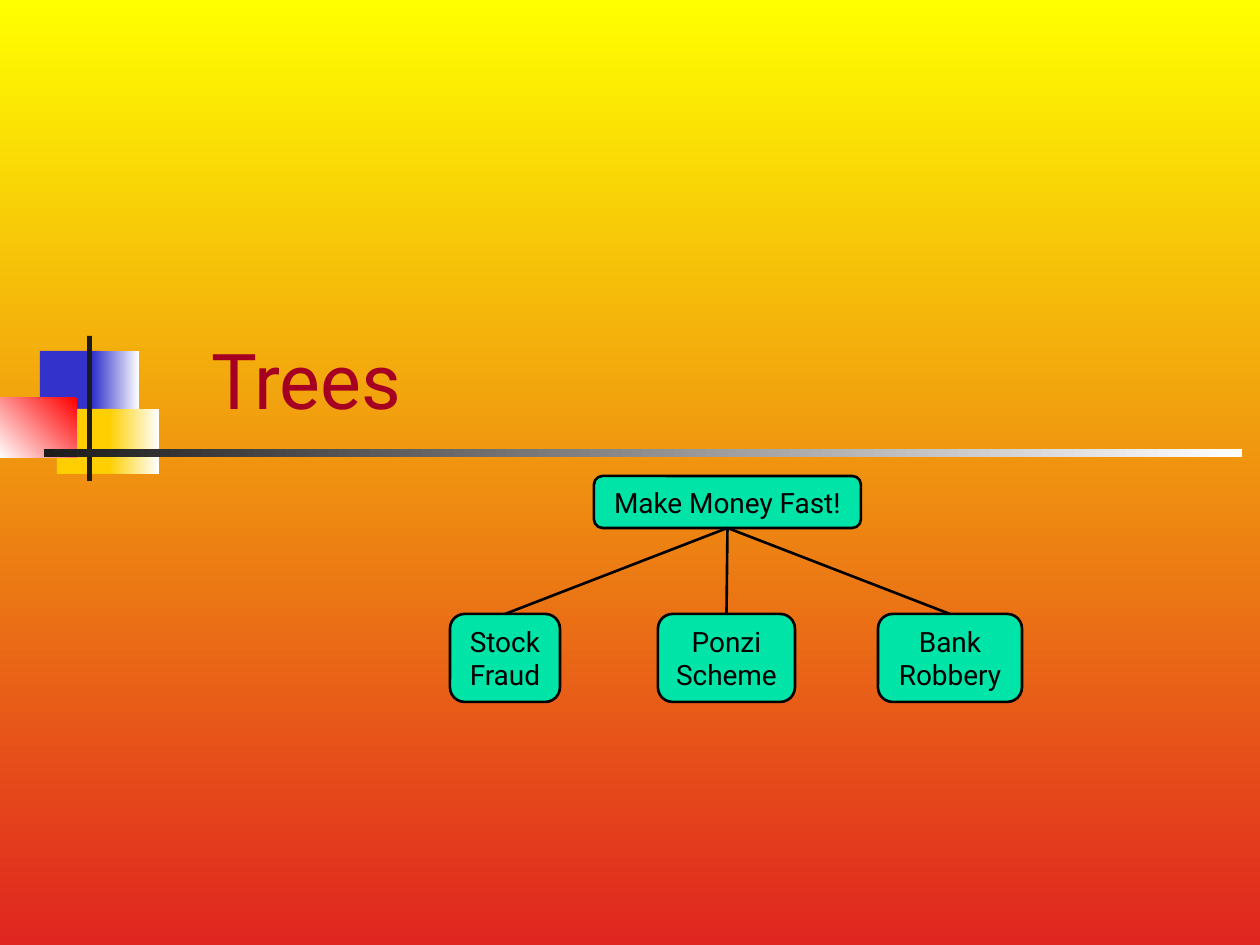
from pptx import Presentation
from pptx.dml.color import RGBColor
from pptx.enum.shapes import MSO_CONNECTOR as Line, MSO_SHAPE as Shape
from pptx.enum.text import MSO_ANCHOR as Anchor, MSO_AUTO_SIZE as Auto, PP_ALIGN as Align
from pptx.oxml.ns import qn
from pptx.util import Pt
from lxml.etree import SubElement

SCALE = 914400 / 126  # EMU in one px
FONT = "Roboto"
WHITE, BLACK, DARK = "FFFFFF", "000000", "1C1C1C"
BLUE, GOLD, RED, MINT = "3333CC", "FFCF01", "FF0000", "00E4A8"


def px(*nums):
    return [round(n * SCALE) for n in nums]


def color(code):
    return RGBColor.from_string(code)


def paint(fill, *codes, turn=0):
    """One colour fills solid, two blend; turn is in clockwise degrees."""
    if len(codes) == 1:
        fill.solid()
        fill.fore_color.rgb = color(codes[0])
        return
    fill.gradient()
    fill.gradient_angle = -turn % 360
    for stop, code in zip(fill.gradient_stops, codes):
        stop.color.rgb = color(code)


def add_box(slide, kind, box, *codes, turn=0):
    shape = slide.shapes.add_shape(kind, *px(*box))
    shape.shadow.inherit = False
    shape.line.fill.background()
    paint(shape.fill, *codes, turn=turn)
    return shape


def write(frame, lines, size, code, align):
    para = frame.paragraphs[0]
    para.alignment = align
    for i, text in enumerate(lines):
        if i:
            para.add_line_break()
        run = para.add_run()
        run.text = text
        run.font.name, run.font.size = FONT, Pt(size)
        run.font.color.rgb = color(code)


def add_decor(slide, left, top):
    """Coloured squares with a cross of two bars."""
    parts = [
        ((40, 15, 60, 66), (BLUE,), 0),
        ((93, 15, 46, 66), (BLUE, WHITE), 0),
        ((57, 73, 59, 65), (GOLD,), 0),
        ((109, 73, 50, 65), (GOLD, WHITE), 0),
        ((0, 62, 77, 60), (RED, WHITE), 135),
        ((87, 0, 5, 145), (DARK,), 0),
        ((44, 113, 1198, 8), (DARK, WHITE), 0),
    ]
    for (x, y, w, h), codes, turn in parts:
        add_box(slide, Shape.RECTANGLE, (left + x, top + y, w, h), *codes, turn=turn)


def add_title(slide, box, text):
    frame = slide.shapes.add_textbox(*px(*box)).text_frame
    frame.word_wrap = True
    frame.vertical_anchor = Anchor.BOTTOM
    write(frame, [text], 44, "A50021", Align.LEFT)


def add_node(slide, box, *lines):
    node = add_box(slide, Shape.ROUNDED_RECTANGLE, box, MINT)
    paint(node.line.fill, BLACK)
    node.line.width = Pt(1.5)
    frame = node.text_frame
    frame.word_wrap = False
    frame.auto_size = Auto.SHAPE_TO_FIT_TEXT
    frame.vertical_anchor = Anchor.MIDDLE
    write(frame, lines, 16, BLACK, Align.CENTER)
    return node


def add_link(slide, top, low):
    link = slide.shapes.add_connector(Line.STRAIGHT, 0, 0, 0, 0)
    link.begin_connect(top, 2)
    link.end_connect(low, 0)
    paint(link.line.fill, BLACK)
    link.line.width = Pt(1.5)
    SubElement(link._element.spPr, qn("a:effectLst"))


def add_tree(slide, left, top):
    """A root node above its row of children."""
    root = add_node(slide, (left + 144, top, 267, 52), "Make Money Fast!")
    kids = [
        (0, 110, "Stock", "Fraud"),
        (208, 137, "Ponzi", "Scheme"),
        (428, 144, "Bank", "Robbery"),
    ]
    for x, wide, *lines in kids:
        kid = add_node(slide, (left + x, top + 138, wide, 88), *lines)
        add_link(slide, root, kid)


def main():
    deck = Presentation()
    deck.slide_width, deck.slide_height = px(1260, 945)
    slide = deck.slides.add_slide(deck.slide_layouts[6])
    paint(slide.background.fill, "FFFF00", "E02520", turn=90)
    add_decor(slide, 0, 336)
    add_title(slide, (199, 273, 924, 158), "Trees")
    add_tree(slide, 450, 476)
    deck.save("out.pptx")


if __name__ == "__main__":
    main()
